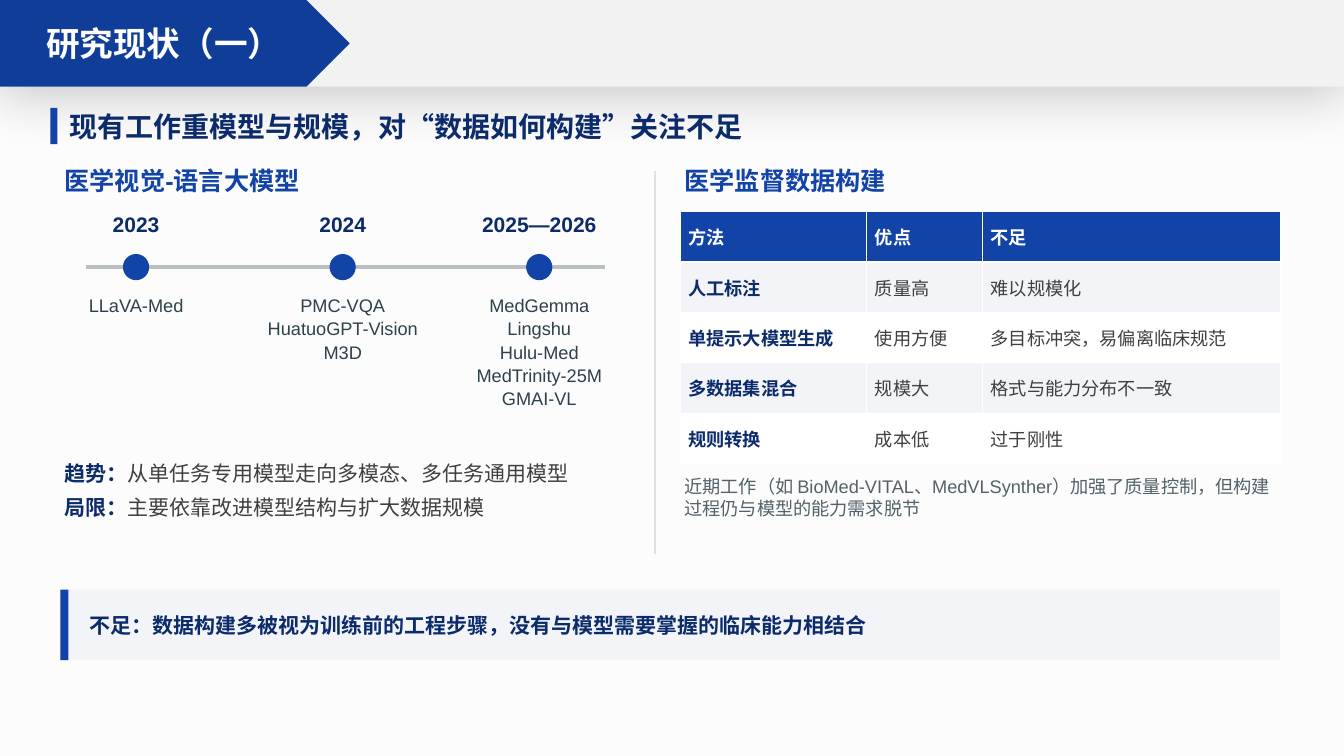
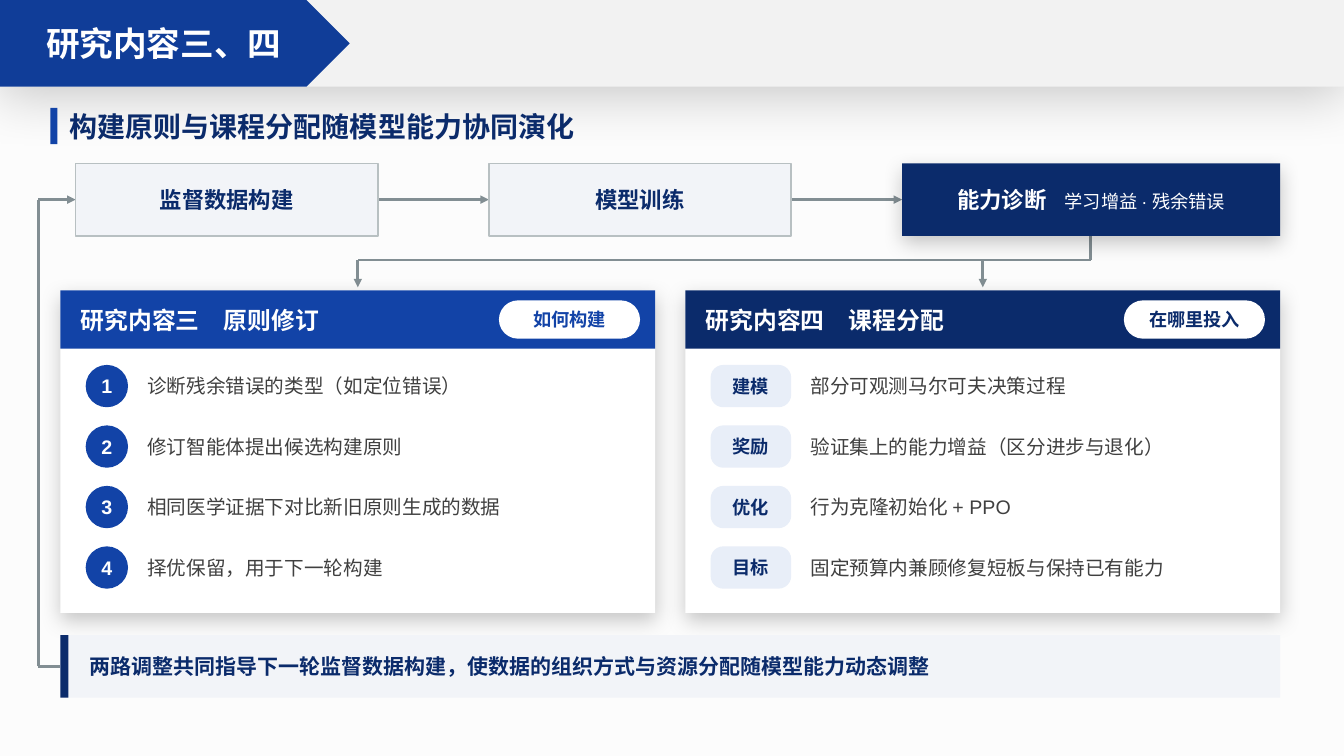
from collections import namedtuple
from dataclasses import dataclass

from lxml.etree import SubElement
from pptx import Presentation
from pptx.dml.color import RGBColor
from pptx.enum.shapes import MSO_CONNECTOR, MSO_SHAPE
from pptx.enum.text import MSO_ANCHOR, PP_ALIGN
from pptx.oxml.ns import qn
from pptx.util import Inches, Pt

Style = namedtuple("Style", "size color bold")
Shadow = namedtuple("Shadow", "opacity blur distance")


@dataclass(frozen=True)
class Theme:
    font: str = "Arial"
    paper: str = "FCFCFC"
    white: str = "FFFFFF"
    band: str = "F2F2F2"
    banner: str = "103D98"
    blue: str = "1243A7"
    navy: str = "0B2B6B"
    panel: str = "F2F4F8"
    tag: str = "E8EEF8"
    gray: str = "B8C0C2"
    divider: str = "DDE1E6"
    arrow: str = "828E93"
    title: Style = Style(24, white, True)
    headline: Style = Style(20, navy, True)
    section: Style = Style(18, blue, True)
    card_title: Style = Style(17, white, True)
    step: Style = Style(16, navy, True)
    step_inverse: Style = Style(16, white, True)
    step_detail: Style = Style(13, white, False)
    strong: Style = Style(15, navy, True)
    body: Style = Style(15, "404040", False)
    item: Style = Style(14, "404040", False)
    number: Style = Style(14, white, True)
    label: Style = Style(13, navy, True)
    label_blue: Style = Style(13, blue, True)
    model: Style = Style(13, "2D414A", False)
    note: Style = Style(13, "526269", False)
    table_head: Style = Style(13, white, True)
    table_body: Style = Style(13, "404040", False)
    band_shadow: Shadow = Shadow(20, 38, 7)
    card_shadow: Shadow = Shadow(22, 15, 5)


theme = Theme()
deck = Presentation()
deck.slide_height = Inches(7.5)
deck.slide_width = deck.slide_height * 16 // 9
grid = deck.slide_height // 75
full_width = deck.slide_width / grid


def write(frame, paragraphs, align=PP_ALIGN.LEFT, before=0):
    frame.word_wrap = True
    for index, runs in enumerate(paragraphs):
        para = frame.add_paragraph() if index else frame.paragraphs[0]
        para.alignment = align
        para.space_before = Pt(before if index else 0)
        base = runs[0][1]
        targets = [(para.font, base)]
        for text, style in runs:
            span = para.add_run()
            span.text = text
            if style != base:
                targets.append((span.font, style))
        for font, style in targets:
            font.name = theme.font
            font.size = Pt(style.size)
            font.bold = style.bold
            font.color.rgb = RGBColor.from_string(style.color)


def draw(page, area, paragraphs=(), fill=None, kind=MSO_SHAPE.RECTANGLE, line=None,
         shadow=None, corner=None, align=PP_ALIGN.LEFT, anchor=MSO_ANCHOR.MIDDLE,
         inset=0.4, before=0):
    place = [round(length * grid) for length in area]
    if fill is None:
        box = page.shapes.add_textbox(*place)
    else:
        box = page.shapes.add_shape(kind, *place)
        box.shadow.inherit = False
        box.fill.solid()
        box.fill.fore_color.rgb = RGBColor.from_string(fill)
        if line:
            box.line.color.rgb = RGBColor.from_string(line)
            box.line.width = Pt(1)
        else:
            box.line.fill.background()
    if corner is not None:
        box.adjustments[0] = corner
    if shadow:
        effects = box.element.spPr.find(qn("a:effectLst"))
        outer = SubElement(effects, qn("a:outerShdw"), blurRad=str(Pt(shadow.blur)),
                           dist=str(Pt(shadow.distance)), dir="5400000",
                           algn="t", rotWithShape="0")
        color = SubElement(outer, qn("a:srgbClr"), val="000000")
        SubElement(color, qn("a:alpha"), val=str(shadow.opacity * 1000))
    if paragraphs:
        frame = box.text_frame
        frame.vertical_anchor = anchor
        frame.margin_left = frame.margin_right = round(inset * grid)
        frame.margin_top = frame.margin_bottom = round(0.2 * grid)
        write(frame, paragraphs, align, before)
    return box


layout = deck.slide_layouts.get_by_name("Title Only")
layout.background.fill.solid()
layout.background.fill.fore_color.rgb = RGBColor.from_string(theme.paper)
layout_title = layout.placeholders[0]
layout_title.left = layout_title.top = 0
layout_title.width, layout_title.height = round(32.5 * grid), round(8.6 * grid)

pages = []
for title, headline in (
    ("研究现状（一）", "现有工作重模型与规模，对“数据如何构建”关注不足"),
    ("研究内容三、四", "构建原则与课程分配随模型能力协同演化"),
):
    page = deck.slides.add_slide(layout)
    write(page.shapes.title.text_frame, [[(title, theme.title)]], PP_ALIGN.CENTER)
    draw(page, (6.5, 10, 121, 5), [[(headline, theme.headline)]])
    pages.append(page)
status, content = pages

for shared in (
    draw(status, (0, 0, full_width, 8.6), fill=theme.band, shadow=theme.band_shadow),
    draw(status, (0, 0, 34.7, 8.6), fill=theme.banner, kind=MSO_SHAPE.PENTAGON),
    draw(status, (5, 10.7, 0.7, 3.6), fill=theme.blue),
):
    layout.shapes.element.append(shared.element)

flow_y, fork_y, feedback_x, closing_y = 19.8, 25.8, 3.8, 66.1
for page, color, width, arrow, points in (
    (status, theme.gray, 3, False, [(8.5, 26.5), (60, 26.5)]),
    (status, theme.divider, 1, False, [(65, 17), (65, 55)]),
    (content, theme.arrow, 2, True, [(37.5, flow_y), (48.5, flow_y)]),
    (content, theme.arrow, 2, True, [(78.5, flow_y), (89.5, flow_y)]),
    (content, theme.arrow, 2, True,
     [(108.2, 23.4), (108.2, fork_y), (35.5, fork_y), (35.5, 28.5)]),
    (content, theme.arrow, 2, True, [(97.5, fork_y), (97.5, 28.5)]),
    (content, theme.arrow, 2, True,
     [(6, closing_y), (feedback_x, closing_y), (feedback_x, flow_y), (7.5, flow_y)]),
):
    for start, end in zip(points, points[1:]):
        ends = [round(length * grid) for length in start + end]
        connector = page.shapes.add_connector(MSO_CONNECTOR.STRAIGHT, *ends)
        connector.line.color.rgb = RGBColor.from_string(color)
        connector.line.width = Pt(width)
        if arrow and end == points[-1]:
            SubElement(connector.get_or_add_ln(), qn("a:tailEnd"), type="triangle")
        SubElement(connector.element.spPr, qn("a:effectLst"))

for left, width, heading in ((6, 56, "医学视觉-语言大模型"), (67.5, 59, "医学监督数据构建")):
    draw(status, (left, 16.2, width, 4), [[(heading, theme.section)]], anchor=MSO_ANCHOR.TOP)

for center, year, models in (
    (13.5, "2023", ["LLaVA-Med"]),
    (34, "2024", ["PMC-VQA", "HuatuoGPT-Vision", "M3D"]),
    (53.5, "2025—2026", ["MedGemma", "Lingshu", "Hulu-Med", "MedTrinity-25M", "GMAI-VL"]),
):
    draw(status, (center - 1.3, 25.2, 2.6, 2.6), fill=theme.blue, kind=MSO_SHAPE.OVAL)
    draw(status, (center - 10, 20.8, 20, 3.8), [[(year, theme.strong)]],
         align=PP_ALIGN.CENTER, anchor=MSO_ANCHOR.TOP)
    draw(status, (center - 10, 29, 20, 16), [[(model, theme.model)] for model in models],
         align=PP_ALIGN.CENTER, anchor=MSO_ANCHOR.TOP, before=1)

draw(status, (6, 45.5, 56, 10), [
    [("趋势：", theme.strong), ("从单任务专用模型走向多模态、多任务通用模型", theme.body)],
    [("局限：", theme.strong), ("主要依靠改进模型结构与扩大数据规模", theme.body)],
], anchor=MSO_ANCHOR.TOP, before=6)

methods = (
    ("方法", "优点", "不足"),
    ("人工标注", "质量高", "难以规模化"),
    ("单提示大模型生成", "使用方便", "多目标冲突，易偏离临床规范"),
    ("多数据集混合", "规模大", "格式与能力分布不一致"),
    ("规则转换", "成本低", "过于刚性"),
)
table_place = [round(length * grid) for length in (67.5, 21, 59.5, 25)]
table = status.shapes.add_table(len(methods), 3, *table_place).table
for column, width in zip(table.columns, (18.5, 11.5, 29.5)):
    column.width = round(width * grid)
for row, texts in enumerate(methods):
    for column, text in enumerate(texts):
        cell = table.cell(row, column)
        cell.fill.solid()
        if row == 0:
            fill, style = theme.blue, theme.table_head
        else:
            fill = theme.panel if row % 2 else theme.white
            style = theme.table_body if column else theme.label
        cell.fill.fore_color.rgb = RGBColor.from_string(fill)
        cell.vertical_anchor = MSO_ANCHOR.MIDDLE
        cell.margin_left = cell.margin_right = round(0.8 * grid)
        write(cell.text_frame, [[(text, style)]])

draw(status, (67.5, 47, 59.5, 8), [[(
    "近期工作（如 BioMed-VITAL、MedVLSynther）加强了质量控制，但构建过程仍与模型的能力需求脱节",
    theme.note)]], anchor=MSO_ANCHOR.TOP)

for left, width, fill, line, shadow, runs in (
    (7.5, 30, theme.panel, theme.gray, None, [("监督数据构建", theme.step)]),
    (48.5, 30, theme.panel, theme.gray, None, [("模型训练", theme.step)]),
    (89.5, 37.5, theme.navy, None, theme.card_shadow,
     [("能力诊断", theme.step_inverse), ("　学习增益 · 残余错误", theme.step_detail)]),
):
    draw(content, (left, 16.2, width, 7.2), [runs], fill, line=line, shadow=shadow,
         align=PP_ALIGN.CENTER, inset=0.8)

for left, color, heading, question, question_style, marker, items in (
    (6, theme.blue, "研究内容三　原则修订", "如何构建", theme.label_blue,
     (4.2, MSO_SHAPE.OVAL, None, theme.blue, theme.number),
     (("1", "诊断残余错误的类型（如定位错误）"),
      ("2", "修订智能体提出候选构建原则"),
      ("3", "相同医学证据下对比新旧原则生成的数据"),
      ("4", "择优保留，用于下一轮构建"))),
    (68, theme.navy, "研究内容四　课程分配", "在哪里投入", theme.label,
     (8, MSO_SHAPE.ROUNDED_RECTANGLE, 0.3, theme.tag, theme.label),
     (("建模", "部分可观测马尔可夫决策过程"),
      ("奖励", "验证集上的能力增益（区分进步与退化）"),
      ("优化", "行为克隆初始化 + PPO"),
      ("目标", "固定预算内兼顾修复短板与保持已有能力"))),
):
    draw(content, (left, 28.8, 59, 32), fill=theme.white, shadow=theme.card_shadow)
    draw(content, (left, 28.8, 59, 5.8), [[(heading, theme.card_title)]], color, inset=2)
    draw(content, (left + 43.5, 29.8, 14, 3.8), [[(question, question_style)]], theme.white,
         MSO_SHAPE.ROUNDED_RECTANGLE, corner=0.5, align=PP_ALIGN.CENTER, inset=0.8)
    marker_width, kind, corner, fill, style = marker
    text_left = left + 2.5 + marker_width + 1.5
    for row, (mark, text) in enumerate(items):
        top = 36 + 6 * row
        draw(content, (left + 2.5, top + 0.2, marker_width, 4.2), [[(mark, style)]], fill,
             kind, corner=corner, align=PP_ALIGN.CENTER, inset=0)
        draw(content, (text_left, top, left + 57.5 - text_left, 4.6), [[(text, theme.item)]])

for page, top, height, color, text in (
    (status, 58.5, 7, theme.blue,
     "不足：数据构建多被视为训练前的工程步骤，没有与模型需要掌握的临床能力相结合"),
    (content, 63, 6.2, theme.navy,
     "两路调整共同指导下一轮监督数据构建，使数据的组织方式与资源分配随模型能力动态调整"),
):
    draw(page, (6, top, 121, height), fill=theme.panel)
    draw(page, (6, top, 0.8, height), fill=color)
    draw(page, (8.5, top, 118, height), [[(text, theme.strong)]])

deck.save("out.pptx")
